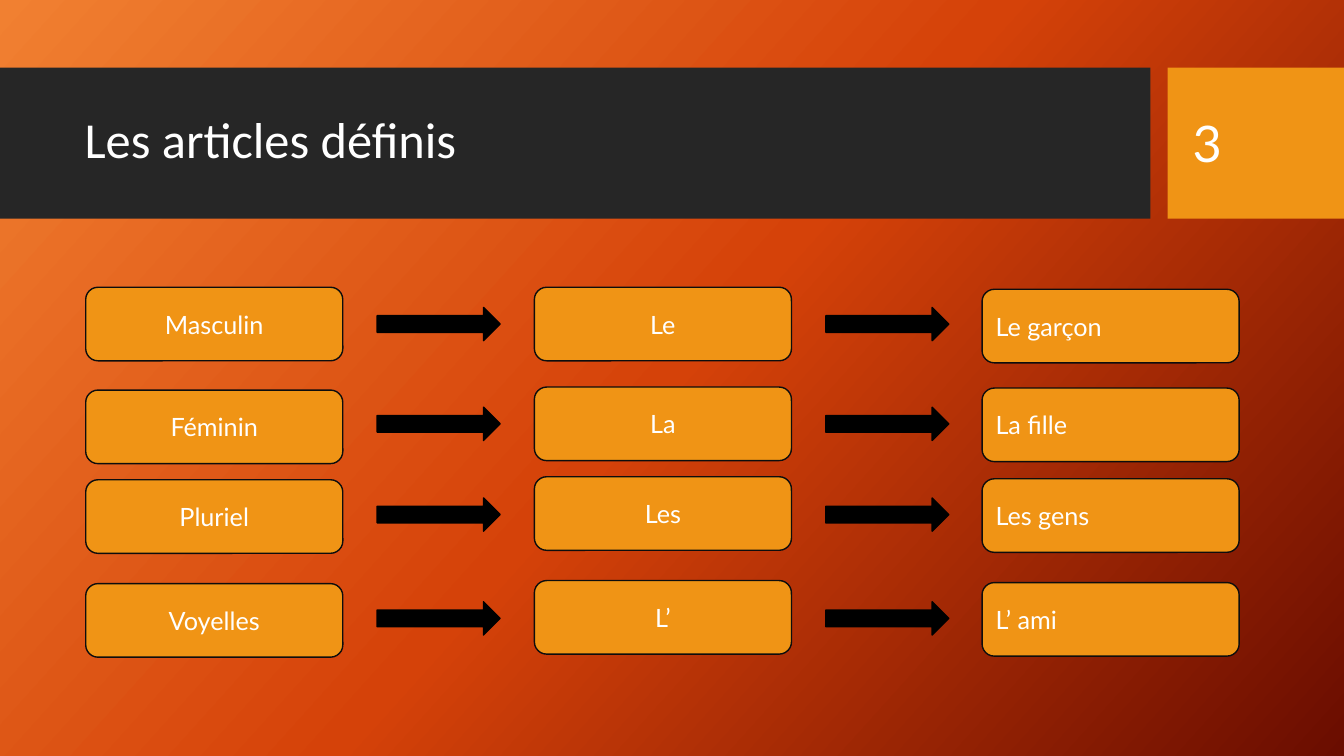
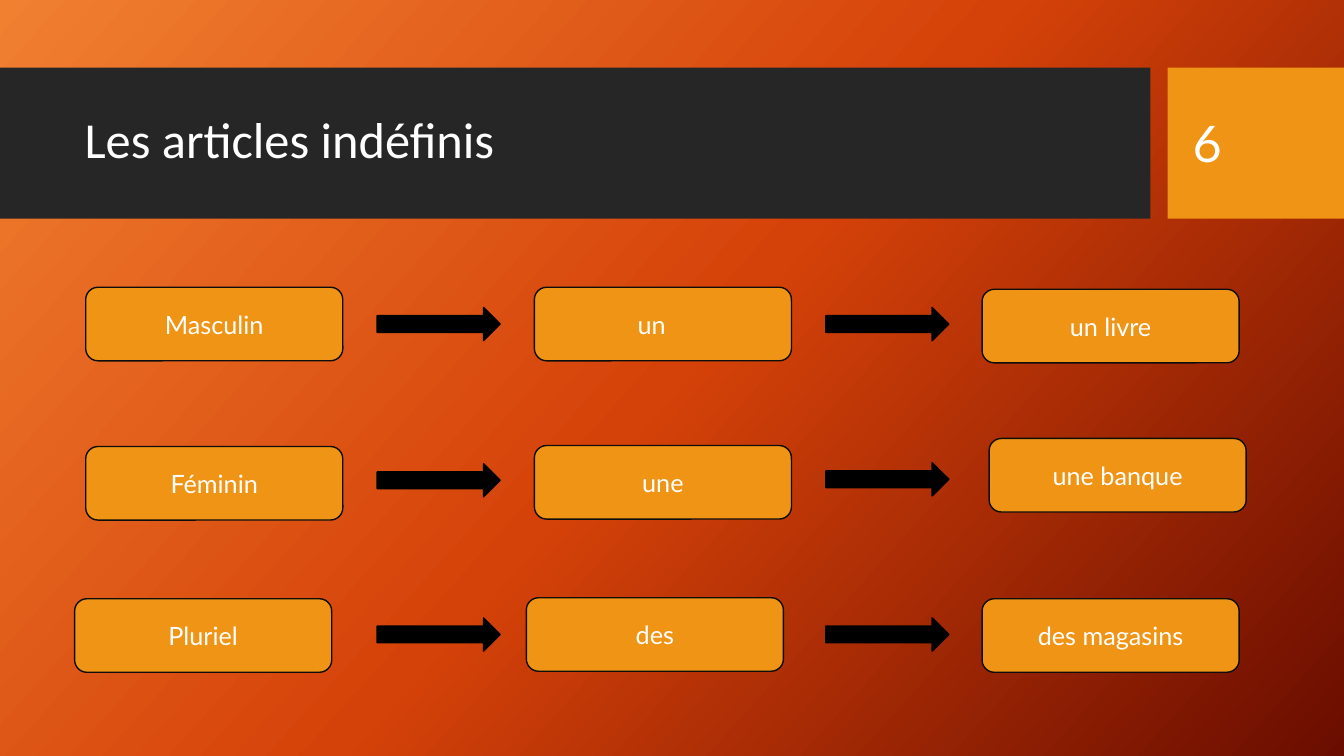
from copy import deepcopy
from dataclasses import dataclass

from pptx import Presentation
from pptx.dml.color import RGBColor
from pptx.enum.shapes import MSO_SHAPE
from pptx.enum.text import MSO_ANCHOR, PP_ALIGN
from pptx.oxml.ns import qn
from pptx.shapes.autoshape import Shape
from pptx.slide import Slide
from pptx.util import Inches, Pt

WHITE = RGBColor(0xFF, 0xFF, 0xFF)
BLACK = RGBColor(0x00, 0x00, 0x00)
OUTLINE = RGBColor(0x0D, 0x0D, 0x0D)
CHARCOAL = RGBColor(0x26, 0x26, 0x26)
ORANGE = RGBColor(0xF0, 0x94, 0x15)
GRADIENT = (
    (0, RGBColor(0xF1, 0x80, 0x31)),
    (0.5, RGBColor(0xD5, 0x42, 0x09)),
    (1, RGBColor(0x6A, 0x0D, 0x00)),
)
TITLE_FONT, BODY_FONT = "Calibri", "Lato"

BAND_TOP, BAND_H = 0.67, 1.5
BOX_W, BOX_H = 2.55, 0.73
ARROW_W, ARROW_H = 1.22, 0.33
COLUMNS = (0.85, 5.3, 9.74)
ARROW_LEFTS = (3.74, 8.19)


@dataclass(frozen=True)
class Row:
    """Gender or number, its article and an example, with their tops in inches."""
    words: tuple[str, str, str]
    tops: tuple[float, float, float]
    arrow_tops: tuple[float, float]
    lefts: tuple[float, float, float] = COLUMNS


@dataclass(frozen=True)
class Lesson:
    title: str
    number: int
    rows: tuple[Row, ...]
    example_align: PP_ALIGN


LESSONS = (
    Lesson("Les articles définis", 3, (
        Row(("Masculin", "Le", "Le garçon"), (2.85, 2.85, 2.87), (3.05, 3.05)),
        Row(("Féminin", "La", "La fille"), (3.87, 3.84, 3.85), (4.04, 4.04)),
        Row(("Pluriel", "Les", "Les gens"), (4.76, 4.73, 4.75), (4.94, 4.94)),
        Row(("Voyelles", "L’", "L’ ami"), (5.79, 5.76, 5.78), (5.97, 5.97)),
    ), PP_ALIGN.LEFT),
    Lesson("Les articles indéfinis", 6, (
        Row(("Masculin", "un\t", "un livre"), (2.85, 2.85, 2.87), (3.05, 3.05)),
        Row(("Féminin", "une", "une banque"), (4.43, 4.42, 4.35), (4.6, 4.59),
            (0.85, 5.3, 9.81)),
        Row(("Pluriel", "des", "des magasins"), (5.94, 5.93, 5.94), (6.13, 6.13),
            (0.74, 5.22, 9.74)),
    ), PP_ALIGN.CENTER),
)


def paint_background(s: Slide) -> None:
    fill = s.background.fill
    fill.gradient()
    fill.gradient_angle = 360 - 42
    stop_list = next(s.element.iter(qn("a:gsLst")))
    stop_list.append(deepcopy(stop_list[0]))
    for stop, (position, color) in zip(fill.gradient_stops, GRADIENT):
        stop.position = position
        stop.color.rgb = color


def add_block(s: Slide, kind: MSO_SHAPE, left: float, top: float, width: float,
              height: float, fill: RGBColor, line: RGBColor | None = None) -> Shape:
    sp = s.shapes.add_shape(kind, Inches(left), Inches(top), Inches(width), Inches(height))
    sp.shadow.inherit = False
    sp.fill.solid()
    sp.fill.fore_color.rgb = fill
    if line is None:
        sp.line.fill.background()
    else:
        sp.line.color.rgb = line
        sp.line.width = Pt(1)
    return sp


def write(sp: Shape, text: str, size: int, font: str = BODY_FONT,
          align: PP_ALIGN = PP_ALIGN.LEFT, spacing: float = 1.0) -> None:
    tf = sp.text_frame
    tf.word_wrap = True
    tf.vertical_anchor = MSO_ANCHOR.MIDDLE
    p = tf.paragraphs[0]
    p.text = text
    p.alignment = align
    p.line_spacing = spacing
    for r in p.runs:
        r.font.name = font
        r.font.size = Pt(size)
        r.font.color.rgb = WHITE


def add_header(s: Slide, title: str, number: int) -> None:
    add_block(s, MSO_SHAPE.RECTANGLE, 0, BAND_TOP, 11.41, BAND_H, CHARCOAL)
    add_block(s, MSO_SHAPE.RECTANGLE, 11.58, BAND_TOP, 1.75, BAND_H, ORANGE)
    title_box = s.shapes.add_textbox(Inches(0.74), Inches(0.82), Inches(10.51), Inches(1.18))
    write(title_box, title, 36, TITLE_FONT, spacing=0.9)
    number_box = s.shapes.add_textbox(Inches(11.73), Inches(0.82), Inches(1.26), Inches(1.19))
    write(number_box, str(number), 36)


def add_row(s: Slide, row: Row, example_align: PP_ALIGN) -> None:
    aligns = (PP_ALIGN.CENTER, PP_ALIGN.CENTER, example_align)
    for word, left, top, align in zip(row.words, row.lefts, row.tops, aligns):
        box = add_block(s, MSO_SHAPE.ROUNDED_RECTANGLE, left, top, BOX_W, BOX_H,
                        ORANGE, OUTLINE)
        write(box, word, 18, align=align)
    for left, top in zip(ARROW_LEFTS, row.arrow_tops):
        add_block(s, MSO_SHAPE.RIGHT_ARROW, left, top, ARROW_W, ARROW_H, BLACK, BLACK)


def main() -> None:
    prs = Presentation()
    prs.slide_width, prs.slide_height = Inches(13.33), Inches(7.5)
    for lesson in LESSONS:
        s = prs.slides.add_slide(prs.slide_layouts[6])
        paint_background(s)
        add_header(s, lesson.title, lesson.number)
        for row in lesson.rows:
            add_row(s, row, lesson.example_align)
    prs.save("out.pptx")


if __name__ == "__main__":
    main()
